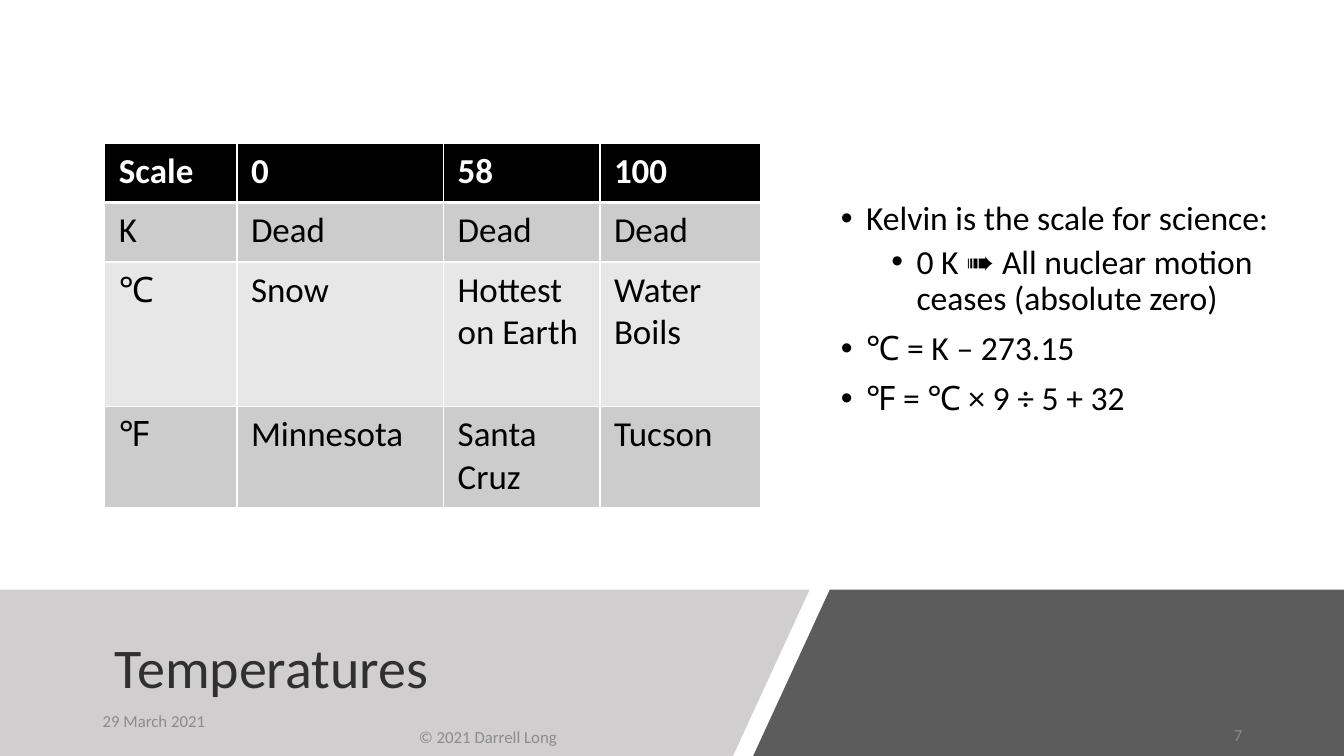
"""Build the Temperatures slide with its scale table and conversion notes."""
import pptx
import pptx.dml.color
import pptx.enum.text
import pptx.oxml
import pptx.oxml.ns
import pptx.util

RGBColor = pptx.dml.color.RGBColor
Align = pptx.enum.text.PP_ALIGN
WHITE = RGBColor(0xFF, 0xFF, 0xFF)
BLACK = RGBColor(0x00, 0x00, 0x00)
CHARCOAL = RGBColor(0x40, 0x40, 0x40)
SILVER = RGBColor(0xD0, 0xCE, 0xCE)
TITLE_INK = RGBColor(0x30, 0x30, 0x30)
FOOTER_INK = RGBColor(0x8C, 0x8C, 0x8C)
BAND_DARK = RGBColor(0xCC, 0xCC, 0xCC)
BAND_LIGHT = RGBColor(0xE7, 0xE7, 0xE7)

FONT = "Calibri"
PX = 9144

TABLE_ROWS = [
    ["Scale", "0", "58", "100"],
    ["K", "Dead", "Dead", "Dead"],
    ["℃", "Snow", "Hottest on Earth", "Water Boils"],
    ["℉", "Minnesota", "Santa Cruz", "Tucson"],
]
NOTES = [
    (0, "Kelvin is the scale for science:"),
    (1, "0 K ➠ All nuclear motion ceases (absolute zero)"),
    (0, "℃ = K – 273.15"),
    (0, "℉ = ℃ × 9 ÷ 5 + 32"),
]
FOOTERS = [
    ("© 2021 Darrell Long", (247, 711, 474, 40), Align.CENTER),
    ("7", (942, 709, 300, 40), Align.RIGHT),
    ("29 March 2021", (92, 695, 300, 40), Align.LEFT),
]


class SlidePainter:
    """Hold the slide and draw each kind of element in one style."""

    def __init__(self, page):
        self.page = page

    def add_text(self, para, text, size, color, bold=False):
        span = para.add_run()
        span.text = text
        span.font.name = FONT
        span.font.size = pptx.util.Pt(size)
        span.font.color.rgb = color
        span.font.bold = bold

    def place(self, box, bounds):
        box.left, box.top, box.width, box.height = [n * PX for n in bounds]
        frame = box.text_frame
        frame.word_wrap = True
        frame.auto_size = pptx.enum.text.MSO_AUTO_SIZE.NONE
        frame.vertical_anchor = pptx.enum.text.MSO_ANCHOR.MIDDLE
        return frame

    def panel(self, points, color, opacity=100):
        builder = self.page.shapes.build_freeform(*points[0], scale=PX)
        builder.add_line_segments(points[1:], close=True)
        shape = builder.convert_to_shape()
        shape.shadow.inherit = False
        shape.line.fill.background()
        shape.fill.solid()
        shape.fill.fore_color.rgb = color
        if opacity < 100:
            tint = shape._element.spPr.find(".//" + pptx.oxml.ns.qn("a:srgbClr"))
            tint.append(pptx.oxml.parse_xml(
                f'<a:alpha {pptx.oxml.ns.nsdecls("a")} val="{opacity * 1000}"/>'))

    def title(self, text, bounds):
        para = self.place(self.page.shapes.title, bounds).paragraphs[0]
        para.alignment = Align.LEFT
        para.line_spacing = 0.9
        self.add_text(para, text, 40, TITLE_INK)

    def bullets(self, items, bounds):
        frame = self.place(self.page.placeholders[1], bounds)
        for index, (level, text) in enumerate(items):
            para = frame.add_paragraph() if index else frame.paragraphs[0]
            para.level = level
            para.line_spacing = 0.9
            space = 0 if index == 0 else 5 if level else 10
            para.space_before = pptx.util.Pt(space)
            properties = para._p.get_or_add_pPr()
            properties.set("marL", str((25 + 50 * level) * PX))
            properties.set("indent", str(-25 * PX))
            for tag, setting in ("buFont", 'typeface="Arial"'), ("buChar", 'char="•"'):
                properties.append(pptx.oxml.parse_xml(
                    f'<a:{tag} {pptx.oxml.ns.nsdecls("a")} {setting}/>'))
            self.add_text(para, text, 24, BLACK)

    def label(self, text, bounds, alignment):
        box = self.page.shapes.add_textbox(0, 0, PX, PX)
        para = self.place(box, bounds).paragraphs[0]
        para.alignment = alignment
        self.add_text(para, text, 12, FOOTER_INK)

    def borders(self, cell, row):
        widths = {"L": 1, "R": 1, "T": 3 if row == 1 else 1, "B": 3 if row == 0 else 1}
        for side, width in widths.items():
            cell._tc.get_or_add_tcPr().append(pptx.oxml.parse_xml(
                f'<a:ln{side} {pptx.oxml.ns.nsdecls("a")} w="{int(pptx.util.Pt(width))}">'
                f'<a:solidFill><a:srgbClr val="{WHITE}"/></a:solidFill></a:ln{side}>'))

    def table(self, rows, left, top, widths, heights):
        table = self.page.shapes.add_table(
            len(rows), len(widths), left * PX, top * PX,
            sum(widths) * PX, sum(heights) * PX).table
        for column, width in zip(table.columns, widths):
            column.width = width * PX
        for row, height in zip(table.rows, heights):
            row.height = height * PX
        for r, texts in enumerate(rows):
            band = BLACK if r == 0 else BAND_DARK if r % 2 else BAND_LIGHT
            for c, text in enumerate(texts):
                cell = table.cell(r, c)
                self.borders(cell, r)
                cell.fill.solid()
                cell.fill.fore_color.rgb = band
                cell.margin_left = cell.margin_right = 14 * PX
                cell.margin_top = cell.margin_bottom = 7 * PX
                ink = BLACK if r else WHITE
                self.add_text(cell.text_frame.paragraphs[0], text, 25, ink, bold=r == 0)


def main():
    deck = pptx.Presentation()
    deck.slide_width, deck.slide_height = 1333 * PX, 750 * PX
    page = deck.slides.add_slide(deck.slide_layouts[1])
    page.background.fill.solid()
    page.background.fill.fore_color.rgb = WHITE

    painter = SlidePainter(page)
    painter.panel([(823, 585), (1333, 585), (1333, 750), (747, 750)], CHARCOAL, 85)
    painter.panel([(0, 585), (803, 585), (727, 750), (0, 750)], SILVER)
    for placeholder in list(page.placeholders):
        page.shapes._spTree.append(placeholder._element)
    painter.title("Temperatures", (104, 605, 623, 120))
    painter.bullets(NOTES, (824, 106, 468, 403))
    painter.table(TABLE_ROWS, 104, 142, [131, 205, 155, 159], [59, 59, 143, 101])
    for text, bounds, alignment in FOOTERS:
        painter.label(text, bounds, alignment)
    deck.save("out.pptx")


if __name__ == "__main__":
    main()
